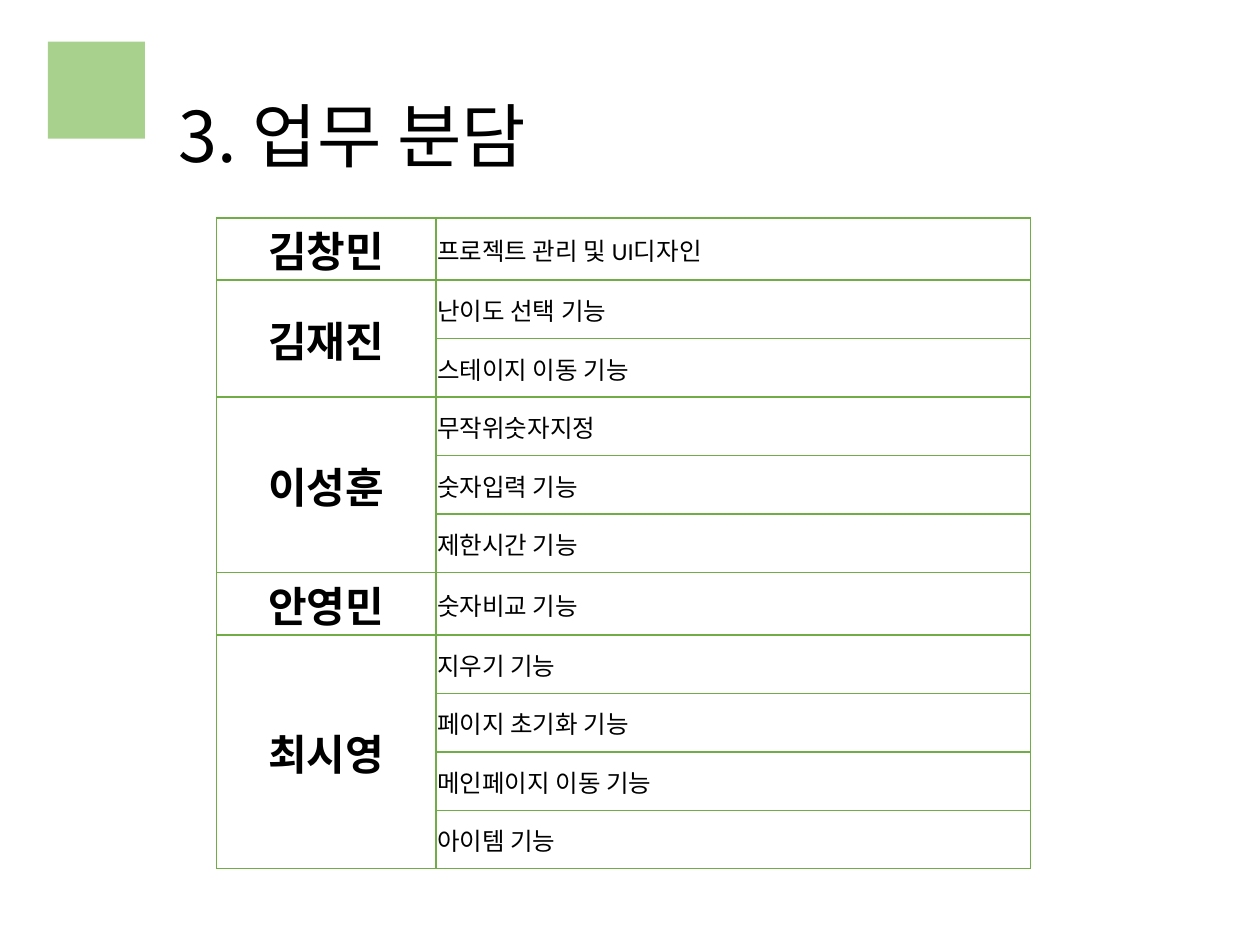
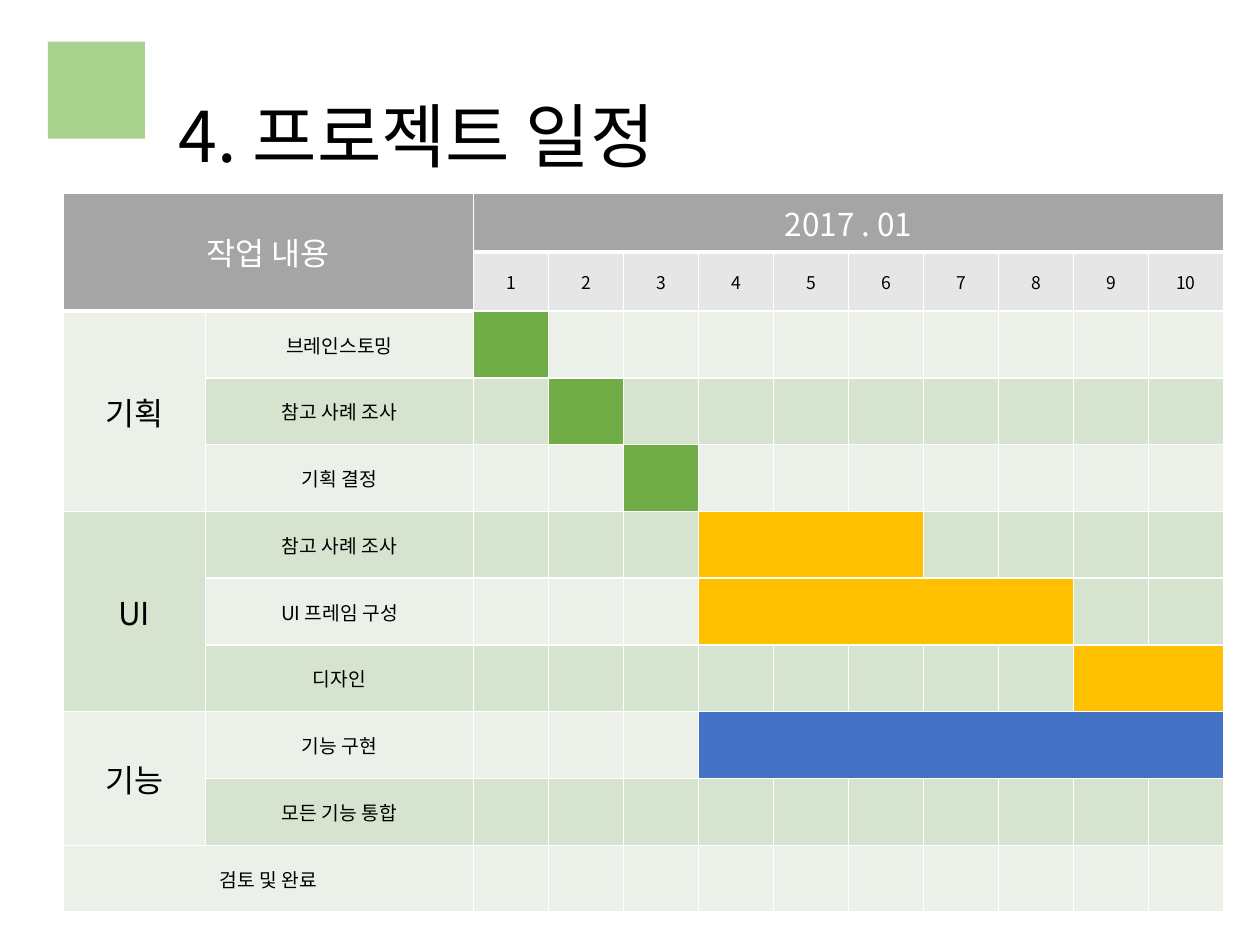
from lxml.etree import SubElement
from pptx import Presentation
from pptx.dml.color import RGBColor
from pptx.enum.shapes import MSO_SHAPE
from pptx.enum.text import MSO_ANCHOR, MSO_AUTO_SIZE, PP_ALIGN
from pptx.oxml.ns import qn
from pptx.util import Inches, Pt

NOTO = "Noto Sans CJK KR"
GREEN, GOLD, BLUE = "70AD47", "FFC000", "4472C4"
WHITE, BLACK, GREY, SILVER = "FFFFFF", "000000", "A5A5A5", "E7E6E6"
SHADES = ["EBF1E9", "D5E3CF"]
color = RGBColor.from_string


def write(frame, text, size, align=PP_ALIGN.CENTER, hue=BLACK, face=NOTO, bold=False):
    para = frame.paragraphs[0]
    para.alignment = align
    run = para.add_run()
    run.text = text
    font = run.font
    font.size, font.bold, font.name = Pt(size), bold, face
    font.color.rgb = color(hue)
    SubElement(run._r.get_or_add_rPr(), qn("a:ea"), typeface=NOTO)


def dress(cell, line, fill=None, foot=1):
    """Border and fill a cell; foot is the width of its bottom border."""
    cell.vertical_anchor = MSO_ANCHOR.MIDDLE
    props = cell._tc.get_or_add_tcPr()
    for side in ("lnL", "lnR", "lnT", "lnB"):
        width = foot if side == "lnB" else 1
        edge = SubElement(props, qn(f"a:{side}"), w=str(Pt(width)))
        paint = SubElement(edge, qn("a:solidFill"))
        SubElement(paint, qn("a:srgbClr"), val=line)
    if fill:
        cell.fill.solid()
        cell.fill.fore_color.rgb = color(fill)
    else:
        cell.fill.background()


deck = Presentation()
deck.slide_width, deck.slide_height = Inches(10), Inches(7.5)

# Title, corner square and bare table on each slide
layouts = [
    ("3. 업무 분담", 3.18, (1.72, 1.73), [1.74, 4.72], [0.4645] * 11),
    ("4. 프로젝트 일정", 4.16, (0.5, 1.53), [1.13, 2.13] + [0.595] * 10,
     [0.47] * 2 + [0.53] * 9),
]
grids = []
for text, width, (left, top), cols, rows in layouts:
    slide = deck.slides.add_slide(deck.slide_layouts[5])
    title = slide.shapes.title
    title.left, title.top = Inches(1.32), Inches(0.68)
    title.width, title.height = Inches(width), Inches(0.77)
    frame = title.text_frame
    frame.word_wrap = False
    frame.auto_size = MSO_AUTO_SIZE.NONE
    frame.vertical_anchor = MSO_ANCHOR.MIDDLE
    write(frame, text, 40, PP_ALIGN.LEFT)

    square = slide.shapes.add_shape(
        MSO_SHAPE.RECTANGLE, Inches(0.38), Inches(0.33), Inches(0.77), Inches(0.77))
    square.shadow.inherit = False
    square.fill.solid()
    square.fill.fore_color.rgb = color("A9D18E")
    square.line.fill.background()

    grid = slide.shapes.add_table(
        len(rows), len(cols), Inches(left), Inches(top),
        Inches(sum(cols)), Inches(sum(rows))).table
    grid.first_row = grid.horz_banding = False
    for col, size in zip(grid.columns, cols):
        col.width = Inches(size)
    for row, size in zip(grid.rows, rows):
        row.height = Inches(size)
    grids.append(grid)

duties, plan = grids

# Who does what
team = [
    ("김창민", ["프로젝트 관리 및 UI디자인"]),
    ("김재진", ["난이도 선택 기능", "스테이지 이동 기능"]),
    ("이성훈", ["무작위숫자지정", "숫자입력 기능", "제한시간 기능"]),
    ("안영민", ["숫자비교 기능"]),
    ("최시영", ["지우기 기능", "페이지 초기화 기능", "메인페이지 이동 기능", "아이템 기능"]),
]
for cell in duties.iter_cells():
    dress(cell, GREEN)
    cell.margin_left = cell.margin_right = cell.margin_top = Inches(0.01)
    cell.margin_bottom = 0
row = 0
for name, jobs in team:
    head = duties.cell(row, 0)
    if len(jobs) > 1:
        head.merge(duties.cell(row + len(jobs) - 1, 0))
    write(head.text_frame, name, 24, face="Calibri", bold=True)
    for job in jobs:
        write(duties.cell(row, 1).text_frame, job, 14, PP_ALIGN.LEFT, face="Calibri")
        row += 1

# Schedule header
for col in range(12):
    dress(plan.cell(0, col), WHITE, GREY, 3)
    if col < 2:
        dress(plan.cell(1, col), WHITE, GREY, 3)
    else:
        day = plan.cell(1, col)
        dress(day, WHITE, SILVER)
        write(day.text_frame, str(col - 1), 10)
plan.cell(0, 0).merge(plan.cell(1, 1))
plan.cell(0, 2).merge(plan.cell(0, 11))
write(plan.cell(0, 0).text_frame, "작업 내용", 18, hue=WHITE)
write(plan.cell(0, 2).text_frame, "2017 . 01", 18, hue=WHITE)

# Schedule rows: task, first day, last day
phases = [
    ("기획", GREEN, [("브레인스토밍", 1, 1), ("참고 사례 조사", 2, 2), ("기획 결정", 3, 3)]),
    ("UI", GOLD, [("참고 사례 조사", 4, 6), ("UI 프레임 구성", 4, 8), ("디자인", 9, 10)]),
    ("기능", BLUE, [("기능 구현", 4, 10), ("모든 기능 통합", 0, 0)]),
    ("", None, [("검토 및 완료", 0, 0)]),
]
row = 2
for phase, hue, tasks in phases:
    start = row
    for task, first, last in tasks:
        shade = SHADES[row % 2]
        for col in range(12):
            day = col - 1
            if first and first <= day <= last:
                fill = hue
            elif task == "UI 프레임 구성" and day > last:
                fill = SHADES[1]
            else:
                fill = SHADES[start % 2] if col == 0 else shade
            dress(plan.cell(row, col), WHITE, fill)
        if last > first:
            plan.cell(row, first + 1).merge(plan.cell(row, last + 1))
        if phase:
            write(plan.cell(row, 1).text_frame, task, 11)
        else:
            plan.cell(row, 0).merge(plan.cell(row, 1))
            write(plan.cell(row, 0).text_frame, task, 11)
        row += 1
    if phase:
        plan.cell(start, 0).merge(plan.cell(row - 1, 0))
        write(plan.cell(start, 0).text_frame, phase, 18)

deck.save("out.pptx")
